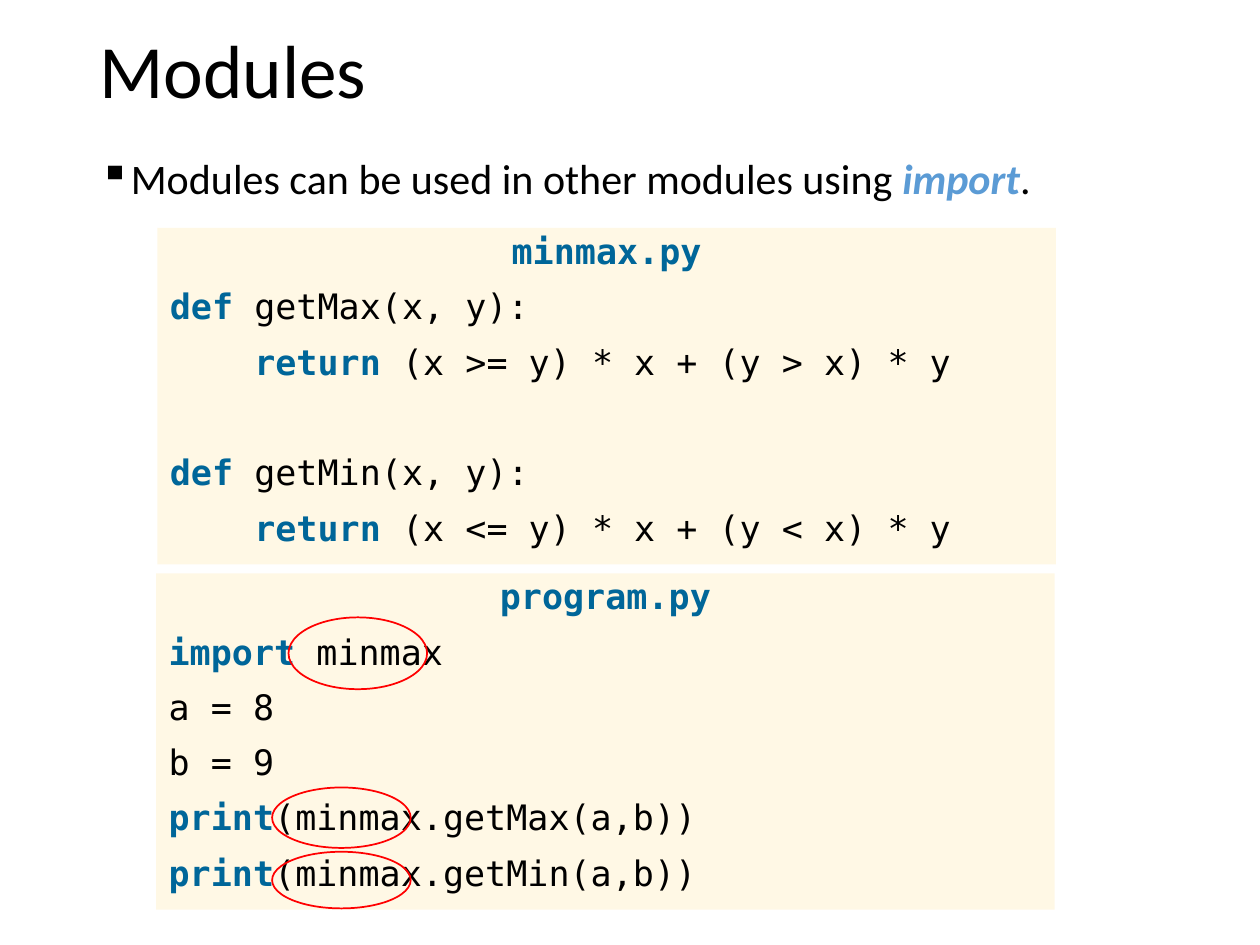
from lxml import etree
from pptx import Presentation
from pptx.dml.color import RGBColor
from pptx.enum.shapes import MSO_SHAPE
from pptx.enum.text import MSO_ANCHOR, PP_ALIGN
from pptx.oxml.ns import qn
from pptx.util import Inches, Pt

RECTANGLE, OVAL = MSO_SHAPE.RECTANGLE, MSO_SHAPE.OVAL
TOP, MIDDLE = MSO_ANCHOR.TOP, MSO_ANCHOR.MIDDLE
LEFT, CENTER = PP_ALIGN.LEFT, PP_ALIGN.CENTER

BLACK = RGBColor(0x00, 0x00, 0x00)
KEYWORD_BLUE = RGBColor(0x00, 0x66, 0x99)
ACCENT_BLUE = RGBColor(0x5B, 0x9B, 0xD5)
CREAM = RGBColor(0xFF, 0xF2, 0xCC)
RED = RGBColor(0xFF, 0x00, 0x00)

BODY_FONT, CODE_FONT = "Calibri", "DejaVu Sans Mono"
CODE_SIZE, CODE_GAP, CODE_LINE = 20, 10, 31.7
CODE_INDENT = 0.67
PANEL_SIZE = (7.13, 2.67)

TITLE = "Modules"
BULLET = [
    ("Modules can be used in other modules using ", BLACK, False),
    ("import", ACCENT_BLUE, True),
    (".", BLACK, False),
]

# Each code line: indent level, blank lines above, keyword, rest
LISTINGS = [
    ("minmax.py", (1.25, 1.81), [
        (0, 0, "def", " getMax(x, y):"),
        (1, 0, "return", " (x >= y) * x + (y > x) * y"),
        (0, 1, "def", " getMin(x, y):"),
        (1, 0, "return", " (x <= y) * x + (y < x) * y"),
    ]),
    ("program.py", (1.24, 4.55), [
        (0, 0, "import", " minmax"),
        (0, 0, "", "a = 8"),
        (0, 0, "", "b = 9"),
        (0, 0, "print", "(minmax.getMax(a,b))"),
        (0, 0, "print", "(minmax.getMin(a,b))"),
    ]),
]
MARKERS = [
    (2.29, 4.9, 1.1, 0.57),
    (2.16, 6.76, 1.1, 0.45),
    (2.16, 6.25, 1.1, 0.48),
]


def add_span(para, text, font, size, color, bold=False, italic=False):
    span = para.add_run()
    span.text = text
    span.font.name = font
    span.font.size = Pt(size)
    span.font.color.rgb = color
    span.font.bold = bold
    span.font.italic = italic


def set_spacing(para, line, before=0, align=LEFT):
    para.line_spacing = line
    para.space_before = Pt(before)
    para.alignment = align


def set_indent(para, margin, first=0):
    properties = para._p.get_or_add_pPr()
    properties.set("marL", str(Inches(margin)))
    properties.set("indent", str(Inches(first)))
    return properties


def add_text_box(page, place, anchor):
    box = page.shapes.add_textbox(*map(Inches, place))
    box.text_frame.word_wrap = True
    box.text_frame.vertical_anchor = anchor
    return box.text_frame.paragraphs[0]


def add_listing(page, name, corner, lines):
    panel = page.shapes.add_shape(RECTANGLE, *map(Inches, corner + PANEL_SIZE))
    panel.shadow.inherit = False
    panel.line.fill.background()
    panel.fill.solid()
    panel.fill.fore_color.rgb = CREAM
    color = panel._element.spPr.find(qn("a:solidFill"))[0]
    etree.SubElement(color, qn("a:alpha"), val="50000")

    frame = panel.text_frame
    frame.word_wrap = True
    frame.vertical_anchor = TOP
    para = frame.paragraphs[0]
    set_spacing(para, 0.9, CODE_GAP, CENTER)
    add_span(para, name, CODE_FONT, CODE_SIZE, KEYWORD_BLUE, bold=True)
    for level, blanks, keyword, rest in lines:
        para = frame.add_paragraph()
        set_spacing(para, 0.9, CODE_GAP + blanks * CODE_LINE)
        set_indent(para, level * CODE_INDENT)
        if keyword:
            add_span(para, keyword, CODE_FONT, CODE_SIZE, KEYWORD_BLUE, bold=True)
        add_span(para, rest, CODE_FONT, CODE_SIZE, BLACK)


def main():
    deck = Presentation()
    deck.slide_width, deck.slide_height = Inches(10), Inches(7.5)
    page = deck.slides.add_slide(deck.slide_layouts[6])

    para = add_text_box(page, (0.69, 0.04, 8.62, 1.1), MIDDLE)
    set_spacing(para, 0.9)
    add_span(para, TITLE, BODY_FONT, 43, BLACK)

    para = add_text_box(page, (0.69, 0.96, 8.62, 0.82), TOP)
    set_spacing(para, 1.5, 10)
    properties = set_indent(para, 0.25, -0.25)
    etree.SubElement(properties, qn("a:buChar"), char="▪")
    for text, color, strong in BULLET:
        add_span(para, text, BODY_FONT, 24, color, strong, strong)

    for name, corner, lines in LISTINGS:
        add_listing(page, name, corner, lines)

    for place in MARKERS:
        marker = page.shapes.add_shape(OVAL, *map(Inches, place))
        marker.shadow.inherit = False
        marker.fill.background()
        marker.line.color.rgb = RED
        marker.line.width = Pt(1)

    deck.save("out.pptx")


if __name__ == "__main__":
    main()
